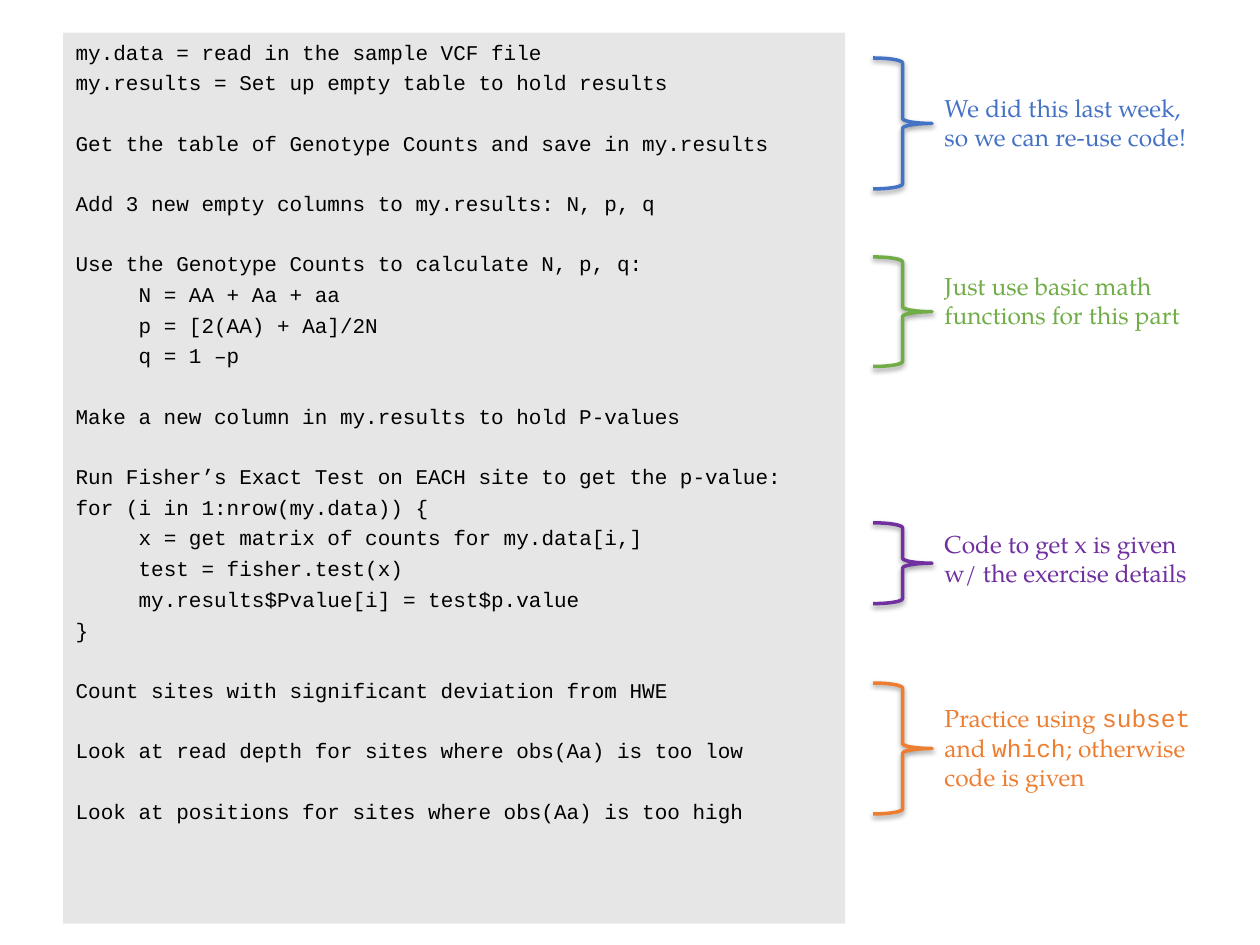
from lxml.etree import SubElement
from pptx import Presentation
from pptx.dml.color import RGBColor
from pptx.enum.shapes import MSO_SHAPE
from pptx.enum.text import MSO_ANCHOR, MSO_AUTO_SIZE, PP_ALIGN
from pptx.oxml.ns import qn
from pptx.util import Cm, Pt

COLORS = {"panel": "E7E6E6", "text": "000000", "blue": "4472C4",
          "green": "70AD47", "purple": "7030A0", "orange": "ED7D31"}
MONO, SERIF = "Courier New", "TeX Gyre Pagella"

# Pseudocode blocks: (indent level, line)
BLOCKS = [
    [(0, "my.data = read in the sample VCF file"),
     (0, "my.results = Set up empty table to hold results")],
    [(0, "Get the table of Genotype Counts and save in my.results")],
    [(0, "Add 3 new empty columns to my.results: N, p, q")],
    [(0, "Use the Genotype Counts to calculate N, p, q:"),
     (1, "N = AA + Aa + aa"),
     (1, "p = [2(AA) + Aa]/2N"),
     (1, "q = 1 –p")],
    [(0, "Make a new column in my.results to hold P-values")],
    [(0, "Run Fisher’s Exact Test on EACH site to get the p-value:"),
     (0, "for (i in 1:nrow(my.data)) {"),
     (1, "x = get matrix of counts for my.data[i,]"),
     (1, "test = fisher.test(x)"),
     (1, "my.results$Pvalue[i] = test$p.value"),
     (0, "}")],
    [(0, "Count sites with significant deviation from HWE")],
    [(0, "Look at read depth for sites where obs(Aa) is too low")],
    [(0, "Look at positions for sites where obs(Aa) is too high")],
]

# Notes in cm: colour, brace top, brace height, text top, width, height, runs
NOTES = [
    ("blue", 1.17, 2.64, 1.75, 5.54, 1.45,
     [("We did this last week, so we can re-use code!", SERIF)]),
    ("green", 5.18, 2.21, 5.33, 5.54, 1.45,
     [("Just use basic math functions for this part", SERIF)]),
    ("purple", 10.54, 1.63, 10.54, 5.54, 1.45,
     [("Code to get x is given w/ the exercise details", SERIF)]),
    ("orange", 13.77, 2.64, 14.05, 5.92, 2.06,
     [("Practice using ", SERIF), ("subset ", MONO), ("and ", SERIF),
      ("which", MONO), ("; otherwise code is given", SERIF)]),
]
BRACE_LEFT, BRACE_WIDTH = 17.6, 1.19
LINE_GAP, BLOCK_GAP = Pt(3.2), Pt(20)


def rgb(name):
    return RGBColor.from_string(COLORS[name])


def add_run(p, text, font, size, color):
    r = p.add_run()
    r.text = text
    r.font.name, r.font.size = font, Pt(size)
    r.font.color.rgb = rgb(color)


def add_shadow(sp):
    sp.shadow.inherit = False
    effects = sp._element.spPr.find(qn("a:effectLst"))
    outer = SubElement(effects, qn("a:outerShdw"), blurRad=str(Pt(3.1)),
                       dist=str(Pt(1.6)), dir="5400000", rotWithShape="0")
    black = SubElement(outer, qn("a:srgbClr"), val="000000")
    SubElement(black, qn("a:alpha"), val="38000")


def add_code(body):
    body.left, body.top, body.width, body.height = (
        Cm(1.27), Cm(0.66), Cm(15.77), Cm(17.96))
    body.fill.solid()
    body.fill.fore_color.rgb = rgb("panel")
    tf = body.text_frame
    tf.word_wrap, tf.auto_size = True, MSO_AUTO_SIZE.NONE
    tf.vertical_anchor = MSO_ANCHOR.TOP
    p = None
    for block in BLOCKS:
        for row, (level, line) in enumerate(block):
            first = p is None
            p = tf.paragraphs[0] if first else tf.add_paragraph()
            pPr = p._p.get_or_add_pPr()
            pPr.set("marL", str(Cm(1.27 * level)))
            pPr.set("indent", "0")
            SubElement(pPr, qn("a:buNone"))
            p.alignment, p.line_spacing = PP_ALIGN.LEFT, 1.0
            p.space_before = Pt(0) if first else LINE_GAP if row else BLOCK_GAP
            add_run(p, line, MONO, 12, "text")


def add_note(shapes, color, top, height, text_top, width, text_height, runs):
    brace = shapes.add_shape(MSO_SHAPE.RIGHT_BRACE, Cm(BRACE_LEFT), Cm(top),
                             Cm(BRACE_WIDTH), Cm(height))
    brace.fill.background()
    brace.line.color.rgb, brace.line.width = rgb(color), Pt(2)
    add_shadow(brace)
    box = shapes.add_textbox(Cm(BRACE_LEFT + BRACE_WIDTH), Cm(text_top),
                             Cm(width), Cm(text_height))
    tf = box.text_frame
    tf.word_wrap, tf.auto_size = True, MSO_AUTO_SIZE.SHAPE_TO_FIT_TEXT
    for text, font in runs:
        add_run(tf.paragraphs[0], text, font, 14, color)


def main():
    prs = Presentation()
    prs.slide_width, prs.slide_height = Cm(25.4), Cm(19.05)
    s = prs.slides.add_slide(prs.slide_layouts[1])

    # The slide has no title
    title = s.shapes.title._element
    title.getparent().remove(title)

    # Pseudocode panel, then braces with their notes
    add_code(s.placeholders[1])
    for note in NOTES:
        add_note(s.shapes, *note)
    prs.save("out.pptx")


if __name__ == "__main__":
    main()
